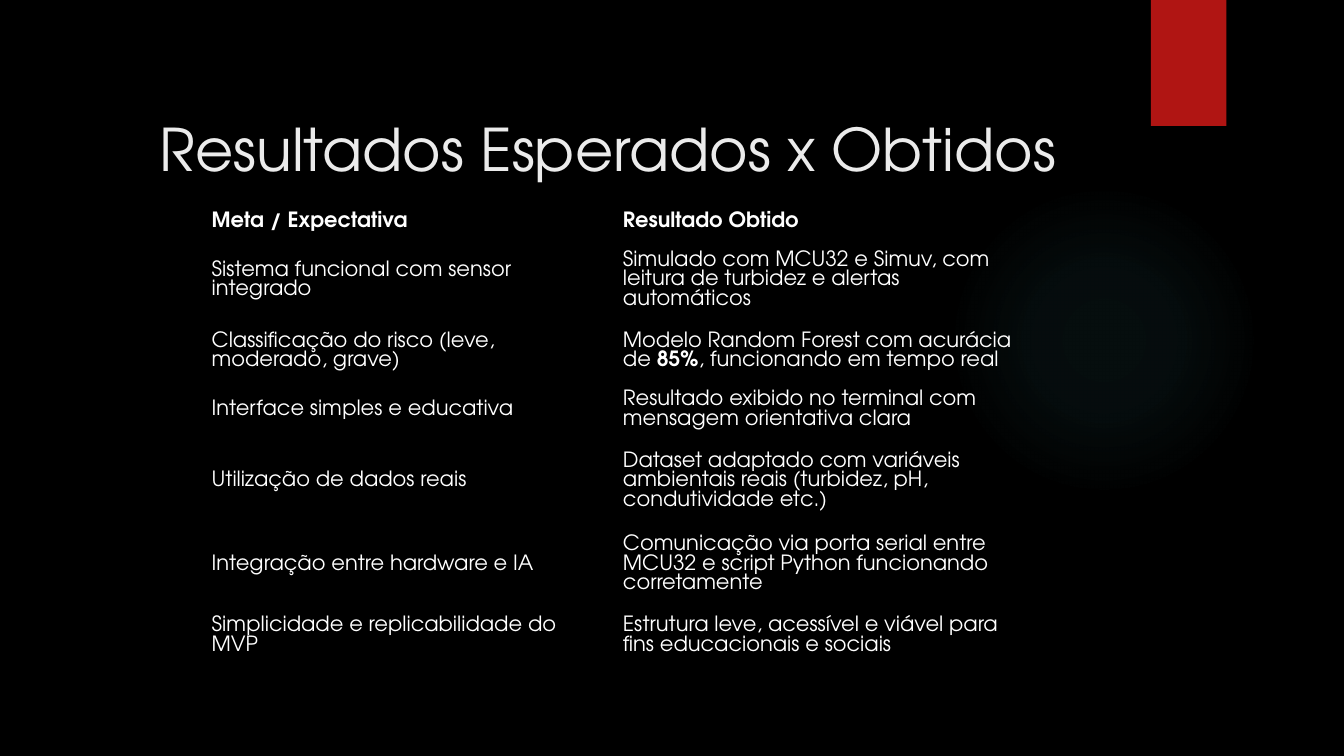
from dataclasses import dataclass

from lxml.etree import SubElement
from pptx import Presentation
from pptx.dml.color import RGBColor
from pptx.enum.shapes import MSO_SHAPE as Preset
from pptx.enum.text import MSO_ANCHOR as Anchor
from pptx.oxml.ns import qn
from pptx.slide import Slide
from pptx.util import Pt

FONT = "TeX Gyre Adventor"
COLORS = {
    "background": "000000",
    "glow": "50B9C1",
    "ribbon": "B01513",
    "title": "EBEBEB",
    "body": "FFFFFF",
}
TABLE_LEFT, TABLE_TOP, COLUMN_WIDTH = 145.44, 146.16, 293.76
HEADER_HEIGHT, TWO_LINES, THREE_LINES = 24, 41.8, 59.8
GLOW_STOPS = ((0, 7), (36, 6), (69, 0), (100, 0))


@dataclass(frozen=True)
class Span:
    text: str
    bold: bool = False


@dataclass(frozen=True)
class Goal:
    expected: list[Span]
    obtained: list[Span]
    height: float


GOALS = [
    Goal([Span("Meta / Expectativa", True)], [Span("Resultado Obtido", True)], HEADER_HEIGHT),
    Goal([Span("Sistema funcional com sensor integrado")],
         [Span("Simulado com MCU32 e Simuv, com leitura de turbidez e alertas automáticos")],
         THREE_LINES),
    Goal([Span("Classificação do risco (leve, moderado, grave)")],
         [Span("Modelo Random Forest com acurácia de "), Span("85%", True),
          Span(", funcionando em tempo real")],
         TWO_LINES),
    Goal([Span("Interface simples e educativa")],
         [Span("Resultado exibido no terminal com mensagem orientativa clara")],
         TWO_LINES),
    Goal([Span("Utilização de dados reais")],
         [Span("Dataset adaptado com variáveis ambientais reais "
               "(turbidez, pH, condutividade etc.)")],
         THREE_LINES),
    Goal([Span("Integração entre hardware e IA")],
         [Span("Comunicação via porta serial entre MCU32 e script Python "
               "funcionando corretamente")],
         THREE_LINES),
    Goal([Span("Simplicidade e replicabilidade do MVP")],
         [Span("Estrutura leve, acessível e viável para fins educacionais e sociais")],
         TWO_LINES),
]


def color(name: str) -> RGBColor:
    return RGBColor.from_string(COLORS[name])


def write(paragraph, spans: list[Span], size: float, color_name: str) -> None:
    for span in spans:
        run = paragraph.add_run()
        run.text = span.text
        run.font.name = FONT
        run.font.size = Pt(size)
        run.font.bold = span.bold
        run.font.color.rgb = color(color_name)


def add_glow(slide: Slide) -> None:
    """Draw the faint radial light on the right."""
    glow = slide.shapes.add_shape(Preset.OVAL, Pt(677.5), Pt(131.8), Pt(221.8), Pt(221.8))
    glow.shadow.inherit = False
    glow.line.fill.background()
    glow.fill.gradient()
    gradient = glow.fill._xPr.find(qn("a:gradFill"))
    for child in list(gradient):
        gradient.remove(child)
    stops = SubElement(gradient, qn("a:gsLst"))
    for position, opacity in GLOW_STOPS:
        stop = SubElement(stops, qn("a:gs"), pos=str(position * 1000))
        tint = SubElement(stop, qn("a:srgbClr"), val=COLORS["glow"])
        SubElement(tint, qn("a:alpha"), val=str(opacity * 1000))
    circle = SubElement(gradient, qn("a:path"), path="circle")
    SubElement(circle, qn("a:fillToRect"), l="50000", t="50000", r="50000", b="50000")


def add_ribbon(slide: Slide) -> None:
    ribbon = slide.shapes.add_shape(Preset.RECTANGLE, Pt(822), Pt(0), Pt(54), Pt(90))
    ribbon.shadow.inherit = False
    ribbon.fill.solid()
    ribbon.fill.fore_color.rgb = color("ribbon")
    ribbon.line.fill.background()


def add_title(slide: Slide) -> None:
    title = slide.shapes.add_textbox(Pt(107), Pt(77), Pt(663.8), Pt(110.2)).text_frame
    title.word_wrap = True
    write(title.paragraphs[0], [Span("Resultados Esperados x Obtidos")], 42, "title")


def add_goals_table(slide: Slide) -> None:
    table = slide.shapes.add_table(
        len(GOALS), 2, Pt(TABLE_LEFT), Pt(TABLE_TOP), Pt(2 * COLUMN_WIDTH),
        Pt(sum(goal.height for goal in GOALS))).table
    table.first_row = table.horz_banding = False
    for row, goal in zip(table.rows, GOALS):
        row.height = Pt(goal.height)
        for cell, spans in zip(row.cells, (goal.expected, goal.obtained)):
            cell.fill.background()
            cell.vertical_anchor = Anchor.MIDDLE
            cell.margin_left = cell.margin_right = Pt(5.8)
            cell.margin_top = cell.margin_bottom = Pt(2.9)
            write(cell.text_frame.paragraphs[0], spans, 15, "body")
            properties = cell._tc.get_or_add_tcPr()
            for index, side in enumerate(("a:lnL", "a:lnR", "a:lnT", "a:lnB")):
                border = SubElement(properties, qn(side), w="0")
                SubElement(border, qn("a:noFill"))
                properties.insert(index, border)


def main() -> None:
    deck = Presentation()
    deck.slide_width, deck.slide_height = Pt(960), Pt(540)
    slide = deck.slides.add_slide(deck.slide_layouts[6])
    slide.background.fill.solid()
    slide.background.fill.fore_color.rgb = color("background")
    add_glow(slide)
    add_ribbon(slide)
    add_title(slide)
    add_goals_table(slide)
    deck.save("out.pptx")


if __name__ == "__main__":
    main()
